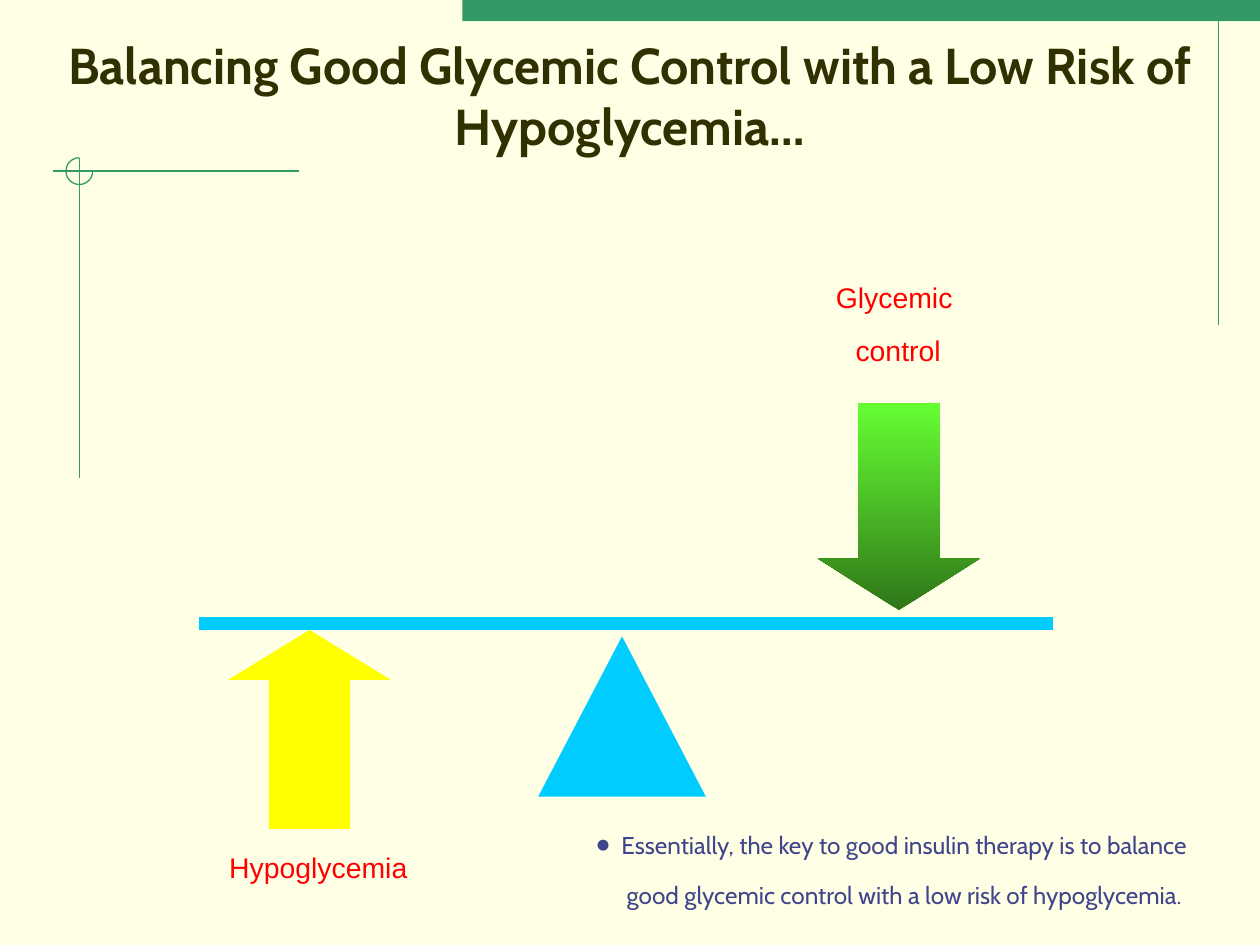
from dataclasses import dataclass

from lxml.etree import SubElement
from pptx import Presentation
from pptx.dml.color import RGBColor
from pptx.enum.shapes import MSO_CONNECTOR, MSO_SHAPE
from pptx.enum.text import MSO_ANCHOR, MSO_AUTO_SIZE, PP_ALIGN
from pptx.oxml.ns import qn
from pptx.util import Cm, Pt


@dataclass(frozen=True)
class Theme:
    background: str = "FFFFE5"
    ornament: str = "339966"
    title: str = "303000"
    label: str = "FF0000"
    note: str = "40458C"
    balance: str = "00CCFF"
    risk: str = "FFFF00"
    control_dark: str = "2F7618"
    control_light: str = "66FF33"
    title_size: float = 28.8
    label_size: float = 28
    note_size: float = 24
    thin_line: float = 0.75
    beam_line: float = 7
    heading_font: str = "Cabin"
    label_font: str = "Arial"


THEME = Theme()


def color(value):
    return RGBColor.from_string(value)


def set_attributes(target, values):
    for name, value in values.items():
        setattr(target, name, value)


def add_line(page, start, end, line_color, width):
    points = [Cm(value) for value in (*start, *end)]
    line = page.shapes.add_connector(MSO_CONNECTOR.STRAIGHT, *points)
    line.line.color.rgb = color(line_color)
    line.line.width = Pt(width)
    SubElement(line._element.spPr, qn("a:effectLst"))


def add_figure(page, kind, place, fill=None, adjustments=()):
    figure = page.shapes.add_shape(kind, *[Cm(value) for value in place])
    figure.shadow.inherit = False
    figure.line.fill.background()
    for index, value in enumerate(adjustments):
        figure.adjustments[index] = value
    if fill:
        figure.fill.solid()
        figure.fill.fore_color.rgb = color(fill)
    else:
        figure.fill.background()
    return figure


def format_span(span, font, size, text_color, bold=False):
    set_attributes(span.font, {"name": font, "size": Pt(size), "bold": bold})
    span.font.color.rgb = color(text_color)


def add_raised_text(page, place, text, font, size, text_color,
                    hanging=0, bullet=None, line_spacing=None):
    """Add a centred text box set in superscript; a newline becomes a line break."""
    box = page.shapes.add_textbox(*[Cm(value) for value in place])
    set_attributes(box.text_frame, {"word_wrap": True,
                                    "auto_size": MSO_AUTO_SIZE.SHAPE_TO_FIT_TEXT})
    para = box.text_frame.paragraphs[0]
    set_attributes(para, {"alignment": PP_ALIGN.CENTER, "line_spacing": line_spacing})
    properties = para._p.get_or_add_pPr()
    if hanging:
        properties.set("marL", str(Cm(hanging)))
        properties.set("indent", str(-Cm(hanging)))
    if bullet:
        SubElement(properties, qn("a:buChar")).set("char", bullet)
    for index, line in enumerate(text.split("\n")):
        if index:
            para.add_line_break()
        span = para.add_run()
        span.text = line
        format_span(span, font, size, text_color)
        span.font._element.set("baseline", "30000")


def add_ornaments(page):
    add_figure(page, MSO_SHAPE.RECTANGLE, (9.32, 0, 16.08, 0.43), THEME.ornament)
    for start, end in (((24.56, 0), (24.56, 6.55)),
                       ((6.02, 3.45), (1.07, 3.45)),
                       ((1.6, 3.18), (1.6, 9.63))):
        add_line(page, start, end, THEME.ornament, THEME.thin_line)
    arc = add_figure(page, MSO_SHAPE.ARC, (1.33, 3.18, 0.54, 0.54),
                     adjustments=(0, 162))
    arc.line.color.rgb = color(THEME.ornament)
    arc.line.width = Pt(THEME.thin_line)


def set_title(page, text):
    title = page.shapes.title
    set_attributes(title, {"left": Cm(0), "top": Cm(0.43),
                           "width": Cm(25.4), "height": Cm(2.97)})
    set_attributes(title.text_frame, {"word_wrap": True, "auto_size": MSO_AUTO_SIZE.NONE,
                                      "vertical_anchor": MSO_ANCHOR.MIDDLE})
    para = title.text_frame.paragraphs[0]
    para.alignment = PP_ALIGN.CENTER
    span = para.add_run()
    span.text = text
    format_span(span, THEME.heading_font, THEME.title_size, THEME.title, bold=True)


def add_balance(page):
    add_figure(page, MSO_SHAPE.UP_ARROW, (4.6, 12.7, 3.28, 4.01),
               THEME.risk, (0.5, 0.307))
    control = add_figure(page, MSO_SHAPE.UP_ARROW, (16.48, 8.13, 3.28, 4.17),
                         adjustments=(0.5, 0.319))
    control.rotation = 180
    control.fill.gradient()
    control.fill.gradient_angle = 270
    for stop, value in zip(control.fill.gradient_stops,
                           (THEME.control_dark, THEME.control_light)):
        stop.color.rgb = color(value)
    add_figure(page, MSO_SHAPE.ISOSCELES_TRIANGLE, (10.85, 12.83, 3.38, 3.23),
               THEME.balance)
    add_line(page, (4.01, 12.57), (21.23, 12.57), THEME.balance, THEME.beam_line)


def main():
    deck = Presentation()
    set_attributes(deck, {"slide_width": Cm(25.4), "slide_height": Cm(19.05)})
    page = deck.slides.add_slide(deck.slide_layouts[5])
    page.background.fill.solid()
    page.background.fill.fore_color.rgb = color(THEME.background)

    add_ornaments(page)
    set_title(page, "Balancing Good Glycemic Control with a Low Risk of Hypoglycemia…")
    label_style = (THEME.label_font, THEME.label_size, THEME.label)
    add_raised_text(page, (2.11, 16.89, 8.61, 1.07), "Hypoglycemia",
                    *label_style, hanging=0.97)
    add_raised_text(page, (12.9, 5.54, 10.41, 1.7), "Glycemic \ncontrol",
                    *label_style, line_spacing=0.9)
    add_balance(page)
    add_raised_text(page, (11.63, 16.51, 12.7, 2.31),
                    "Essentially, the key to good insulin therapy is to balance "
                    "good glycemic control with a low risk of hypoglycemia.",
                    THEME.heading_font, THEME.note_size, THEME.note,
                    hanging=0.51, bullet="•")
    deck.save("out.pptx")


if __name__ == "__main__":
    main()
